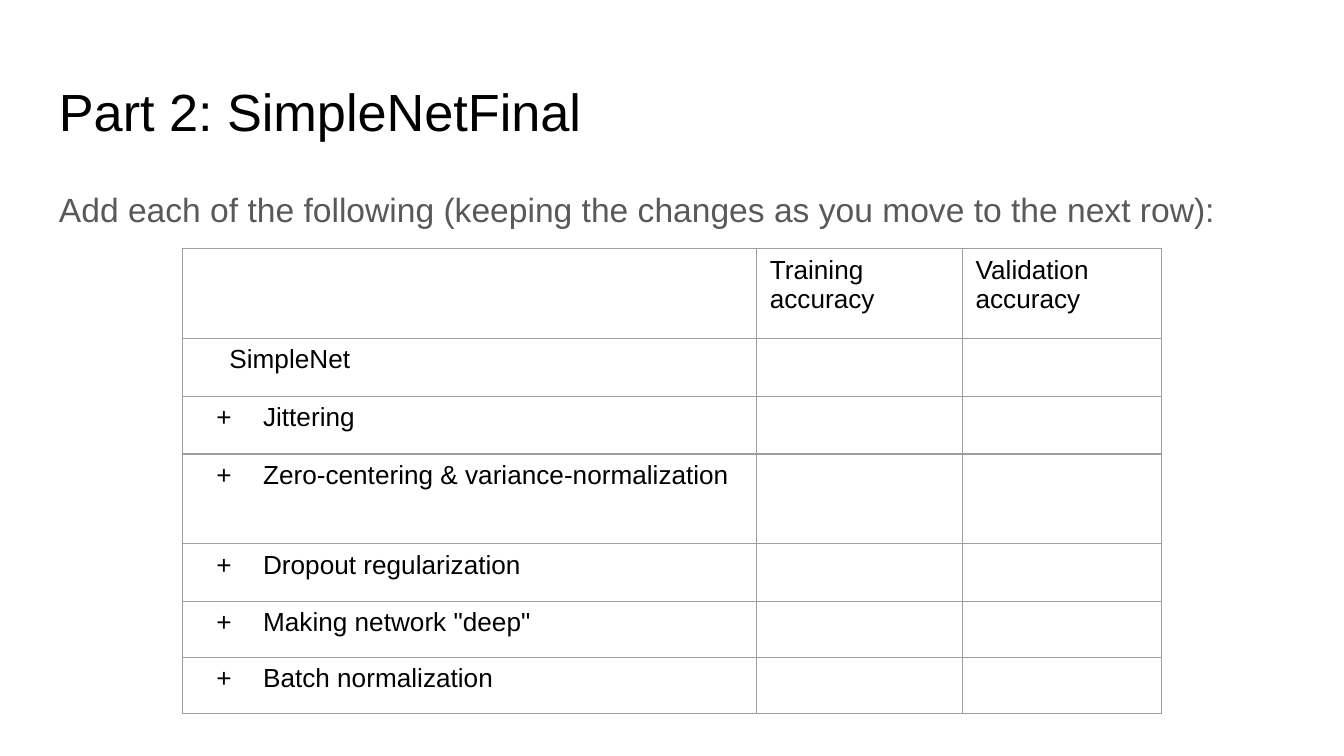
from lxml.etree import SubElement
from pptx import Presentation
from pptx.dml.color import RGBColor
from pptx.oxml.ns import qn
from pptx.util import Pt

COLORS = {"text": "000000", "intro": "595959", "border": "9E9E9E"}


def style(paragraph, size, color):
    paragraph.font.name = "Arial"
    paragraph.font.size = Pt(size)
    paragraph.font.color.rgb = RGBColor.from_string(COLORS[color])


def add_text(slide, top, height, text, size, color):
    frame = slide.shapes.add_textbox(Pt(24.5), Pt(top), Pt(671), Pt(height)).text_frame
    frame.word_wrap = True
    frame.margin_left = frame.margin_right = Pt(7.2)
    frame.margin_top = frame.margin_bottom = Pt(7.2)
    line = frame.paragraphs[0]
    line.text = text
    style(line, size, color)
    return line


prs = Presentation()
prs.slide_width, prs.slide_height = Pt(720), Pt(405)
slide = prs.slides.add_slide(prs.slide_layouts[6])

# Title and introduction
add_text(slide, 35, 45, "Part 2: SimpleNetFinal", 28, "text")
intro = add_text(
    slide, 90.75, 269,
    "Add each of the following (keeping the changes as you move to the next row):",
    18, "intro")
intro.line_spacing = 1.15

# Accuracy table
headings = ["", "Training accuracy", "Validation accuracy"]
steps = ["SimpleNet", "Jittering", "Zero-centering & variance-normalization",
         "Dropout regularization", 'Making network "deep"', "Batch normalization"]
rows = [headings] + [[step, "", ""] for step in steps]
col_widths = [307.5, 110.25, 106.75]
row_heights = [48, 31, 31, 48, 31, 30, 30]

accuracy = slide.shapes.add_table(
    len(rows), len(headings), Pt(97.75), Pt(133.25),
    Pt(sum(col_widths)), Pt(sum(row_heights))).table
accuracy.first_row = accuracy.horz_banding = False
for column, width in zip(accuracy.columns, col_widths):
    column.width = Pt(width)

for r, (texts, height) in enumerate(zip(rows, row_heights)):
    accuracy.rows[r].height = Pt(height)
    for c, text in enumerate(texts):
        cell = accuracy.cell(r, c)
        cell.margin_left = cell.margin_right = Pt(7.2)
        cell.margin_top = cell.margin_bottom = Pt(3.6)

        # Borders come before the fill in the cell properties
        cell_props = cell._tc.get_or_add_tcPr()
        for side in ("a:lnL", "a:lnR", "a:lnT", "a:lnB"):
            border = SubElement(cell_props, qn(side), w=str(Pt(0.75)))
            fill = SubElement(border, qn("a:solidFill"))
            SubElement(fill, qn("a:srgbClr"), val=COLORS["border"])
        cell.fill.background()

        entry = cell.text_frame.paragraphs[0]
        entry.text = text

        # The baseline is indented, each added step has a plus as bullet
        if r > 0 and c == 0:
            entry_props = entry._p.get_or_add_pPr()
            is_added = r > 1
            entry_props.set("marL", str(Pt(36 if is_added else 18)))
            entry_props.set("indent", str(Pt(-25) if is_added else 0))
            if is_added:
                bullet_color = SubElement(entry_props, qn("a:buClr"))
                SubElement(bullet_color, qn("a:srgbClr"), val=COLORS["text"])
                SubElement(entry_props, qn("a:buFont"), typeface="Arial")
                SubElement(entry_props, qn("a:buChar"), char="+")
        style(entry, 14, "text")

prs.save("out.pptx")
